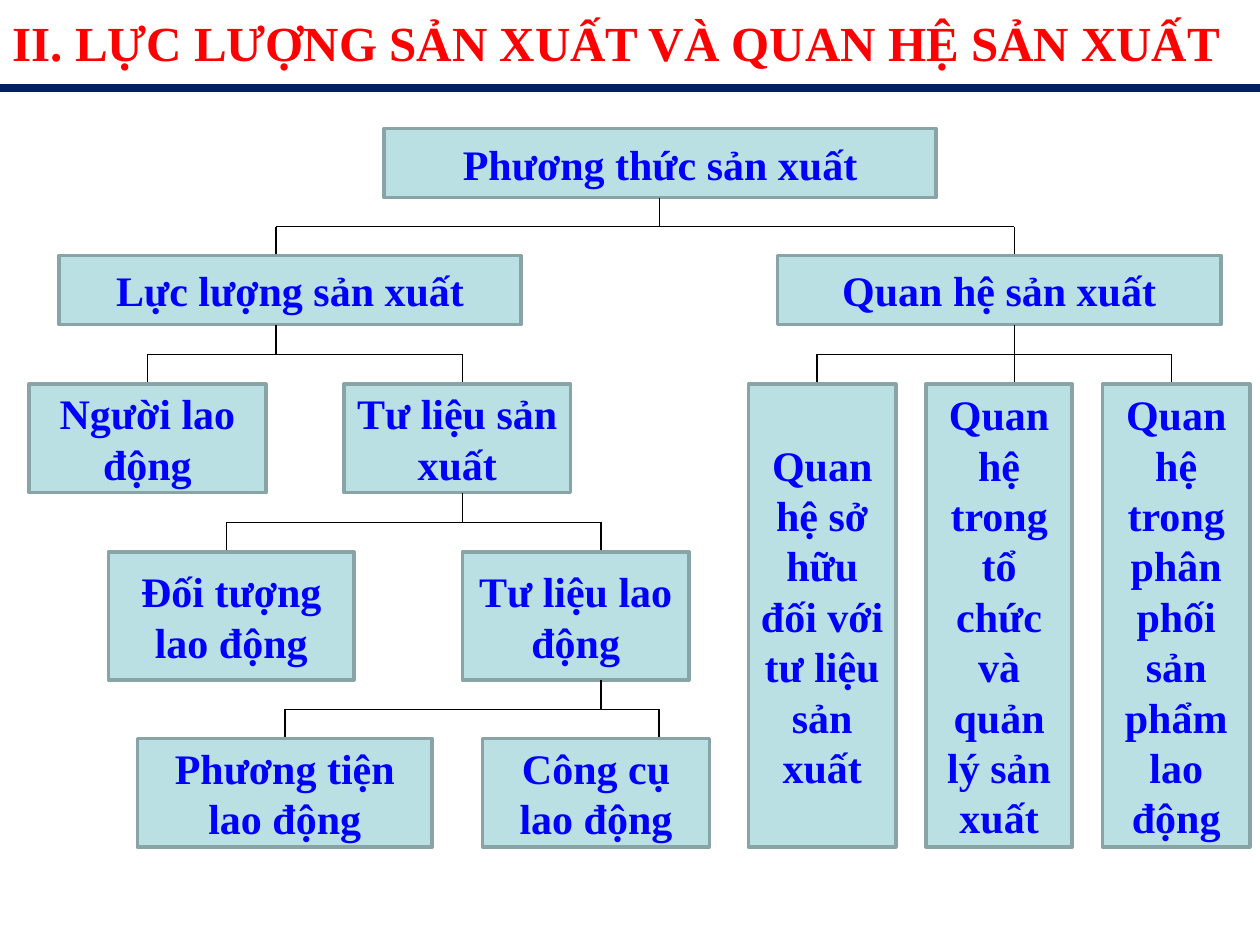
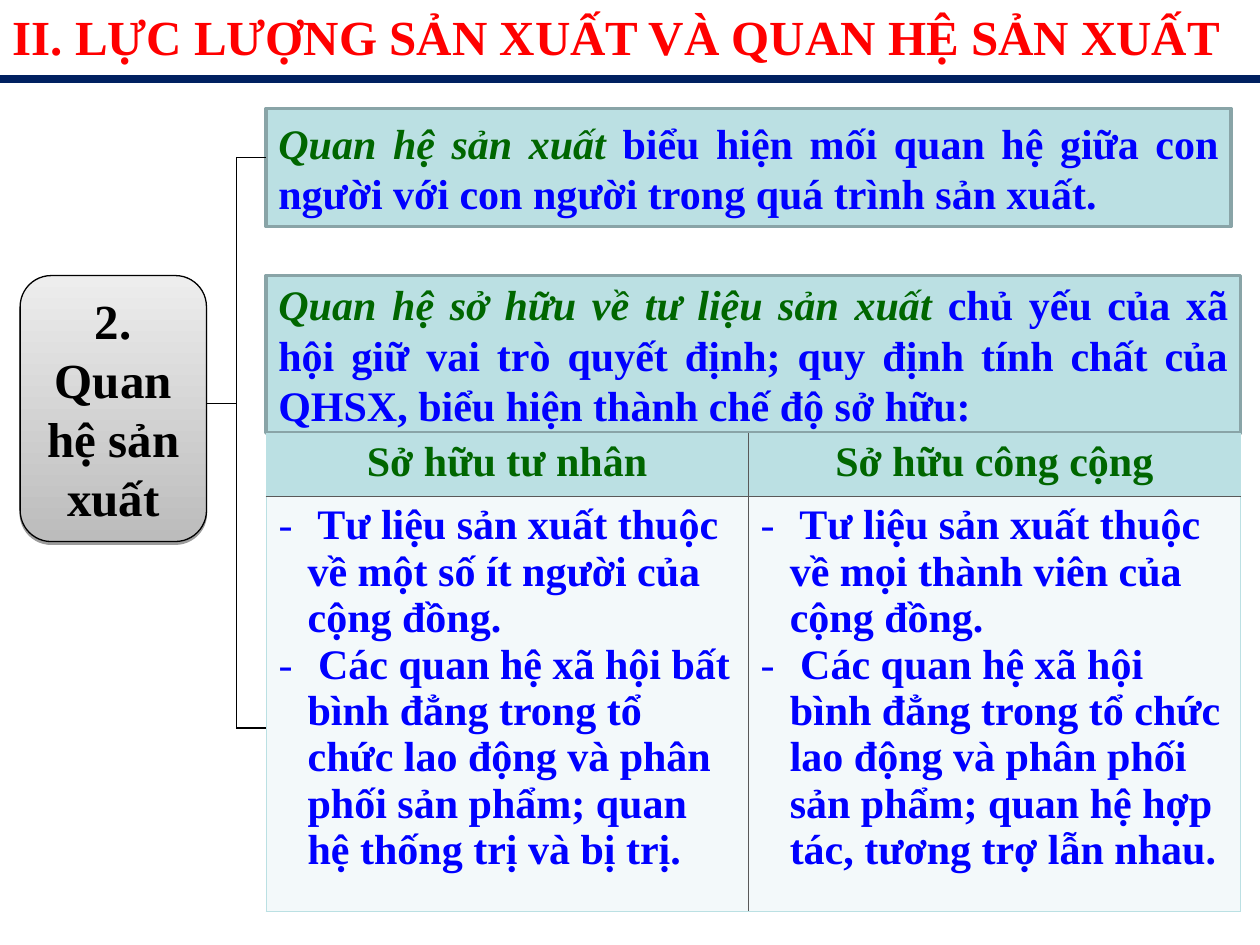
from dataclasses import dataclass

from lxml import etree
from pptx import Presentation
from pptx.dml.color import RGBColor
from pptx.enum.shapes import MSO_CONNECTOR, MSO_SHAPE
from pptx.enum.text import MSO_ANCHOR, MSO_AUTO_SIZE, PP_ALIGN
from pptx.oxml.ns import qn
from pptx.util import Pt

LINE = MSO_CONNECTOR.STRAIGHT
RECT, ROUND = MSO_SHAPE.RECTANGLE, MSO_SHAPE.ROUNDED_RECTANGLE
TOP, MIDDLE = MSO_ANCHOR.TOP, MSO_ANCHOR.MIDDLE
LEFT, CENTER, JUSTIFY = PP_ALIGN.LEFT, PP_ALIGN.CENTER, PP_ALIGN.JUSTIFY
WIDTH, HEIGHT = 720, 540
TITLE = "II. LỰC LƯỢNG SẢN XUẤT VÀ QUAN HỆ SẢN XUẤT"


@dataclass(frozen=True)
class Theme:
    font: str = "Times New Roman"
    big: float = 28
    body: float = 24
    red: str = "FF0000"
    navy: str = "002060"
    blue: str = "0000FF"
    green: str = "006600"
    black: str = "000000"
    fill: str = "BBE0E3"
    edge: str = "89A4A7"
    pale: str = "F3F9FA"
    grid: str = "595959"
    dark: str = "BCBCBC"
    light: str = "EDEDED"


T = Theme()


@dataclass
class Node:
    """A box of the tree; stem is the x where its lines meet it."""
    text: str
    left: float
    width: float
    stem: float
    kids: tuple = ()
    high: float = 0


# top and height of each level of the tree
LEVELS = [(0, 39.5), (72.5, 39.5), (146, 62), (242, 73), (348.5, 62)]
TALL = 264.5

TREE = Node("Phương thức sản xuất", 203, 315.5, 360.3, (
    Node("Lực lượng sản xuất", 17.3, 264, 141.2, (
        Node("Người lao động", 0, 135.5, 67.7),
        Node("Tư liệu sản xuất", 180, 129.6, 247.7, (
            Node("Đối tượng lao động", 45.4, 140.4, 113.1),
            Node("Tư liệu lao động", 247.7, 129.6, 327, (
                Node("Phương tiện lao động", 62, 168.5, 146.4),
                Node("Công cụ lao động", 259.3, 129.6, 360.1),
            )),
        )),
    )),
    Node("Quan hệ sản xuất", 427.7, 253.5, 563.1, (
        Node("Quan hệ sở hữu đối với tư liệu sản xuất",
             411.2, 84.3, 450.4, high=TALL),
        Node("Quan hệ trong tổ chức và quản lý sản xuất",
             512.7, 83.5, 563.1, high=TALL),
        Node("Quan hệ trong phân phối sản phẩm lao động",
             613.5, 84.3, 653.1, high=TALL),
    )),
))

OWNERS = [
    ("Sở hữu tư nhân", 275.5, (
        " Tư liệu sản xuất thuộc về một số ít người của cộng đồng.",
        " Các quan hệ xã hội bất bình đẳng trong tổ chức lao động và "
        "phân phối sản phẩm; quan hệ thống trị và bị trị.")),
    ("Sở hữu công cộng", 281.5, (
        " Tư liệu sản xuất thuộc về mọi thành viên của cộng đồng.",
        " Các quan hệ xã hội bình đẳng trong tổ chức lao động và phân "
        "phối sản phẩm; quan hệ hợp tác, tương trợ lẫn nhau.")),
]


def rgb(code):
    return RGBColor.from_string(code)


def pts(*nums):
    return [Pt(n) for n in nums]


def add(host, tag, **attrs):
    return etree.SubElement(host, qn(tag), attrs)


def style(para, color, size=T.body, align=CENTER):
    para.alignment = align
    font = para.font
    font.name, font.size, font.bold = T.font, Pt(size), True
    font.color.rgb = rgb(color)


def line(slide, x1, y1, x2, y2, color=T.black, weight=0.75):
    link = slide.shapes.add_connector(LINE, *pts(x1, y1, x2, y2))
    link.line.color.rgb = rgb(color)
    link.line.width = Pt(weight)
    add(link._element.spPr, "a:effectLst")


def panel(slide, box, kind=RECT, edge=T.edge, weight=2):
    shape = slide.shapes.add_shape(kind, *pts(*box))
    shape.shadow.inherit = False
    shape.fill.solid()
    shape.fill.fore_color.rgb = rgb(T.fill)
    shape.line.color.rgb = rgb(edge)
    shape.line.width = Pt(weight)
    frame = shape.text_frame
    frame.word_wrap = True
    frame.vertical_anchor = MIDDLE
    return shape


def header(slide, top, rule):
    line(slide, 0, rule, WIDTH, rule, T.navy, 4.5)
    title = slide.shapes.title
    title.left, title.top, title.width, title.height = pts(0, top, WIDTH, 41)
    frame = title.text_frame
    frame.text = TITLE
    frame.auto_size = MSO_AUTO_SIZE.NONE
    frame.vertical_anchor = TOP
    style(frame.paragraphs[0], T.red, T.big, LEFT)


def branch(slide, node, x, y, depth=0):
    """Draw a node, its fork of lines and all below it, from origin x, y."""
    top, high = LEVELS[depth]
    high = node.high or high
    shape = panel(slide, (x + node.left, y + top, node.width, high))
    shape.text_frame.text = node.text
    style(shape.text_frame.paragraphs[0], T.blue)
    if not node.kids:
        return
    base, below = y + top + high, y + LEVELS[depth + 1][0]
    mid = (base + below) / 2
    stems = [x + kid.stem for kid in node.kids]
    line(slide, x + node.stem, base, x + node.stem, mid)
    line(slide, min(stems), mid, max(stems), mid)
    for kid, stem in zip(node.kids, stems):
        line(slide, stem, mid, stem, below)
        branch(slide, kid, x, y, depth + 1)


def claim(slide, box, term, rest):
    para = panel(slide, box).text_frame.paragraphs[0]
    style(para, T.blue, align=JUSTIFY)
    lead = para.add_run()
    lead.text = term
    lead.font.italic = True
    lead.font.color.rgb = rgb(T.green)
    para.add_run().text = rest


def topic(slide, box, text):
    shape = panel(slide, box, ROUND, T.black, 0.75)
    shape.fill.gradient()
    shape.fill.gradient_angle = 90
    for stop, color in zip(shape.fill.gradient_stops, (T.dark, T.light)):
        stop.color.rgb = rgb(color)
    effects = shape._element.spPr.find(qn("a:effectLst"))
    shade = add(effects, "a:outerShdw", blurRad="0", dist=str(Pt(1.6)),
                dir="5400000", rotWithShape="0")
    tint = add(shade, "a:srgbClr", val=T.black)
    add(tint, "a:alpha", val="38000")
    shape.text_frame.text = text
    style(shape.text_frame.paragraphs[0], T.black, T.big)


def bracket(slide, box, stem, root):
    """Join the right side of a box to its top and foot on the left."""
    x, y, wide, high = box
    line(slide, x, y, x, y + high)
    line(slide, root, stem, x, stem)
    for end in (y, y + high):
        line(slide, x, end, x + wide, end)


def border(cell, inner):
    """Rule all four sides; those named in inner get the grid colour."""
    props = cell._tc.get_or_add_tcPr()
    for i, side in enumerate("LRTB"):
        color, weight = (T.grid, 0.75) if side in inner else (T.fill, 0.45)
        rule = etree.Element(qn("a:ln" + side), w=str(Pt(weight)))
        add(add(rule, "a:solidFill"), "a:srgbClr", val=color)
        props.insert(i, rule)


def dash(para, indent=16.6):
    props = para._p.get_or_add_pPr()
    props.set("marL", str(Pt(indent)))
    props.set("indent", str(-Pt(indent)))
    add(add(props, "a:buClr"), "a:srgbClr", val=T.blue)
    add(props, "a:buFont", typeface=T.font)
    add(props, "a:buChar", char="-")


def paint(cell, color, inner):
    cell.fill.solid()
    cell.fill.fore_color.rgb = rgb(color)
    border(cell, inner)


def compare(slide, box):
    table = slide.shapes.add_table(2, len(OWNERS), *pts(*box)).table
    table.first_row = table.horz_banding = False
    head = 36
    table.rows[0].height, table.rows[1].height = pts(head, box[3] - head)
    for col, (name, wide, points) in enumerate(OWNERS):
        table.columns[col].width = Pt(wide)
        side = "L" if col else "R"
        top, body = table.cell(0, col), table.cell(1, col)
        paint(top, T.fill, side + "B")
        paint(body, T.pale, side + "T")
        top.text = name
        style(top.text_frame.paragraphs[0], T.green)
        body.text = "\n".join(points)
        for para in body.text_frame.paragraphs:
            dash(para)
            style(para, T.blue, align=LEFT)


def chart_slide(slide):
    header(slide, 3.5, 50.5)
    branch(slide, TREE, 16.5, 73.5)


def relation_slide(slide):
    header(slide, 0, 45)
    claim(slide, (152, 62, 551.5, 67.5), "Quan hệ sản xuất ",
          "biểu hiện mối quan hệ giữa con người với con người "
          "trong quá trình sản xuất.")
    claim(slide, (152, 157.5, 557, 90), "Quan hệ sở hữu về tư liệu sản xuất ",
          "chủ yếu của xã hội giữ vai trò quyết định; quy định tính chất "
          "của QHSX, biểu hiện thành chế độ sở hữu:")
    topic(slide, (11.5, 157.5, 106.5, 152), "2. Quan hệ sản xuất")
    bracket(slide, (135, 90, 17, 326), 230.5, 118)
    compare(slide, (152, 247.5, 557, 273.5))


def main():
    deck = Presentation()
    deck.slide_width, deck.slide_height = pts(WIDTH, HEIGHT)
    for build in (chart_slide, relation_slide):
        build(deck.slides.add_slide(deck.slide_layouts[5]))
    deck.save("out.pptx")


if __name__ == "__main__":
    main()
